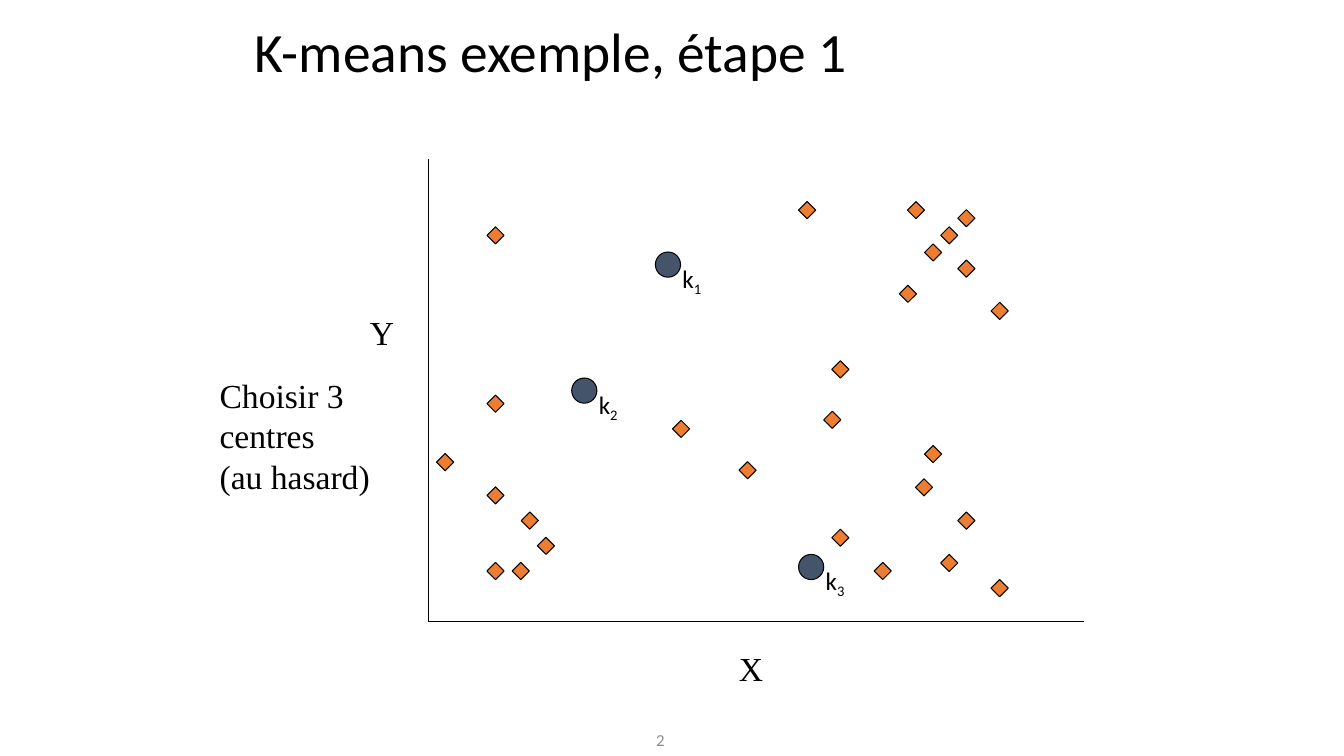
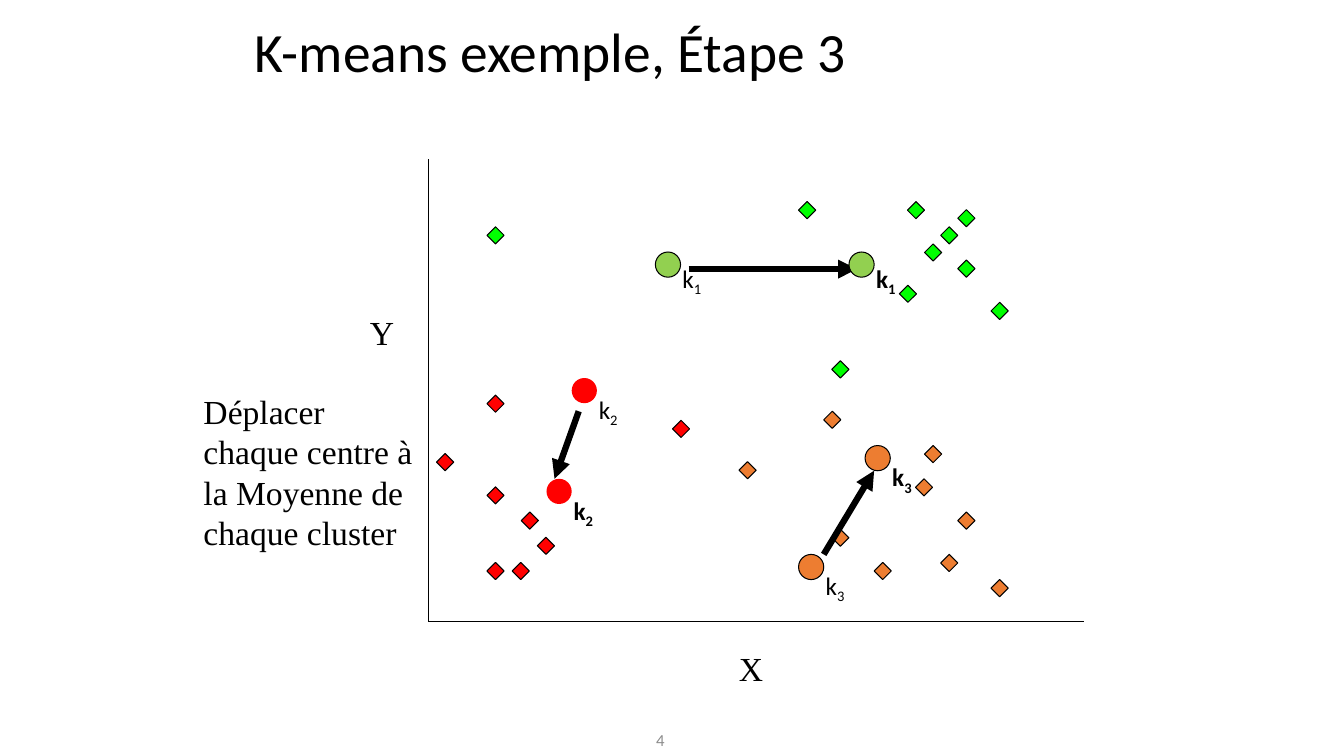
from dataclasses import dataclass

from lxml import etree
from pptx import Presentation
from pptx.dml.color import RGBColor
from pptx.enum import shapes, text
from pptx.oxml import ns
from pptx.slide import Slide
from pptx.util import Inches, Pt

COLORS = {
    "black": "000000",
    "gray": "8C8C8C",
    "slate": "44546A",
    "orange": "ED7D31",
    "red": "FF0000",
    "green": "00FF00",
    "lime": "92D050",
}
SANS = "Calibri"
SERIF = "Times New Roman"
Pair = tuple[float, float]
Box = tuple[float, float, float, float]

POINTS: dict[int, list[Pair]] = {
    1: [(4.83, 2.25), (9, 2), (9.5, 2.08), (9.33, 2.25), (9.17, 2.42),
        (9.5, 2.58), (9.83, 3), (7.92, 2), (8.25, 3.58), (8.92, 2.83)],
    2: [(5.17, 5.08), (5.33, 5.33), (5.08, 5.58), (4.83, 4.83),
        (4.83, 3.92), (4.83, 5.58), (4.33, 4.5), (6.67, 4.17)],
    3: [(8.25, 5.25), (8.67, 5.58), (9.08, 4.75), (8.17, 4.08), (7.33, 4.58),
        (9.5, 5.08), (9.33, 5.5), (9.17, 4.42), (9.83, 5.75)],
}


@dataclass(frozen=True)
class Center:
    num: int
    at: Pair
    fill: str
    bold: bool = False
    edge: bool = True
    high: float = 0.5


@dataclass(frozen=True)
class Line:
    start: Pair
    end: Pair
    width: float = 0.75
    arrow: bool = False


@dataclass(frozen=True)
class Step:
    page: int
    title: str
    note: list[str]
    area: Box
    fills: dict[int, str]
    centers: list[Center]
    moves: list[Line]


AXES = [Line((4.25, 1.58), (4.25, 6.17)), Line((4.25, 6.17), (10.75, 6.17))]

STEPS = [
    Step(
        2, "K-means exemple, étape 1",
        ["Choisir 3", "centres", "(au hasard)"], (2.08, 3.67, 1.9, 1.31),
        {1: "orange", 2: "orange", 3: "orange"},
        [
            Center(1, (6.5, 2.5), "slate", high=0.4),
            Center(2, (5.67, 3.75), "slate", high=0.4),
            Center(3, (7.92, 5.5), "slate", high=0.4),
        ],
        [],
    ),
    Step(
        4, "K-means exemple, Étape 3",
        ["Déplacer chaque centre à la Moyenne de chaque cluster"],
        (1.92, 3.83, 2.33, 1.72),
        {1: "green", 2: "red", 3: "orange"},
        [
            Center(1, (8.42, 2.5), "lime", bold=True, high=0.4),
            Center(2, (5.67, 3.75), "red", edge=False),
            Center(2, (5.42, 4.75), "red", bold=True, edge=False),
            Center(1, (6.5, 2.5), "lime", high=0.4),
            Center(3, (7.92, 5.5), "orange"),
            Center(3, (8.58, 4.42), "orange", bold=True),
        ],
        [
            Line((6.83, 2.67), (8.5, 2.67), 4.5, True),
            Line((5.74, 4.08), (5.5, 4.75), 4.5, True),
            Line((8.17, 5.5), (8.67, 4.67), 4.5, True),
        ],
    ),
]


def shade(name: str) -> RGBColor:
    return RGBColor.from_string(COLORS[name])


def style(para, size: float, face: str, color: str = "black", bold: bool = False) -> None:
    font = para.font
    font.size, font.name, font.bold = Pt(size), face, bold
    font.color.rgb = shade(color)


def add_text(slide: Slide, area: Box, lines: list[str], size: float, face: str,
             color: str = "black", bold: bool = False, middle: bool = False):
    frame = slide.shapes.add_textbox(*map(Inches, area)).text_frame
    frame.word_wrap = True
    if middle:
        frame.vertical_anchor = text.MSO_ANCHOR.MIDDLE
    frame.text = "\n".join(lines)
    for para in frame.paragraphs:
        style(para, size, face, color, bold)
    return frame.paragraphs[0]


def add_mark(slide: Slide, kind: shapes.MSO_SHAPE, at: Pair, size: float,
             fill: str, edge: bool = True) -> None:
    mark = slide.shapes.add_shape(kind, *map(Inches, (*at, size, size)))
    mark.shadow.inherit = False
    mark.fill.solid()
    mark.fill.fore_color.rgb = shade(fill)
    if edge:
        mark.line.color.rgb = shade("black")
        mark.line.width = Pt(0.75)
    else:
        mark.line.fill.background()


def add_line(slide: Slide, item: Line) -> None:
    line = slide.shapes.add_connector(
        shapes.MSO_CONNECTOR.STRAIGHT, *map(Inches, (*item.start, *item.end)))
    line.line.color.rgb = shade("black")
    line.line.width = Pt(item.width)
    props = line._element.spPr
    if item.arrow:
        etree.SubElement(props.find(ns.qn("a:ln")), ns.qn("a:tailEnd"), type="triangle")
    etree.SubElement(props, ns.qn("a:effectLst"))


def add_center(slide: Slide, item: Center) -> None:
    add_mark(slide, shapes.MSO_SHAPE.OVAL, item.at, 0.25, item.fill, item.edge)
    left, top = item.at
    para = add_text(slide, (left + 0.17, top + 0.08, 0.58, item.high), ["k"],
                    18, SANS, bold=item.bold, middle=True)
    sub = para.add_run()
    sub.text = str(item.num)
    sub.font._element.set("baseline", "-25000")


def add_title(slide: Slide, words: str) -> None:
    title = slide.shapes.title
    title.left, title.top, title.width, title.height = map(Inches, (2.42, 0.25, 8.5, 0.58))
    frame = title.text_frame
    frame.text = words
    frame.auto_size = text.MSO_AUTO_SIZE.NONE
    frame.vertical_anchor = text.MSO_ANCHOR.MIDDLE
    para = frame.paragraphs[0]
    para.alignment = text.PP_ALIGN.LEFT
    para.line_spacing = 0.9
    style(para, 39.6, SANS)


def add_step(deck, step: Step) -> None:
    slide = deck.slides.add_slide(deck.slide_layouts[5])
    add_title(slide, step.title)
    page = add_text(slide, (5.67, 7.17, 1.02, 0.33), [str(step.page)],
                    12, SANS, "gray", middle=True)
    page.alignment = text.PP_ALIGN.RIGHT
    for group, spots in POINTS.items():
        for spot in spots:
            add_mark(slide, shapes.MSO_SHAPE.DIAMOND, spot, 0.17, step.fills[group])
    for line in step.moves + AXES:
        add_line(slide, line)
    add_text(slide, (7.23, 6.38, 0.44, 0.5), ["X"], 24, SERIF)
    add_text(slide, (3.57, 3.05, 0.44, 0.5), ["Y"], 24, SERIF)
    add_text(slide, step.area, step.note, 24, SERIF)
    for center in step.centers:
        add_center(slide, center)


def main() -> None:
    deck = Presentation()
    deck.slide_width, deck.slide_height = Inches(13.33), Inches(7.5)
    for step in STEPS:
        add_step(deck, step)
    deck.save("out.pptx")


if __name__ == "__main__":
    main()
